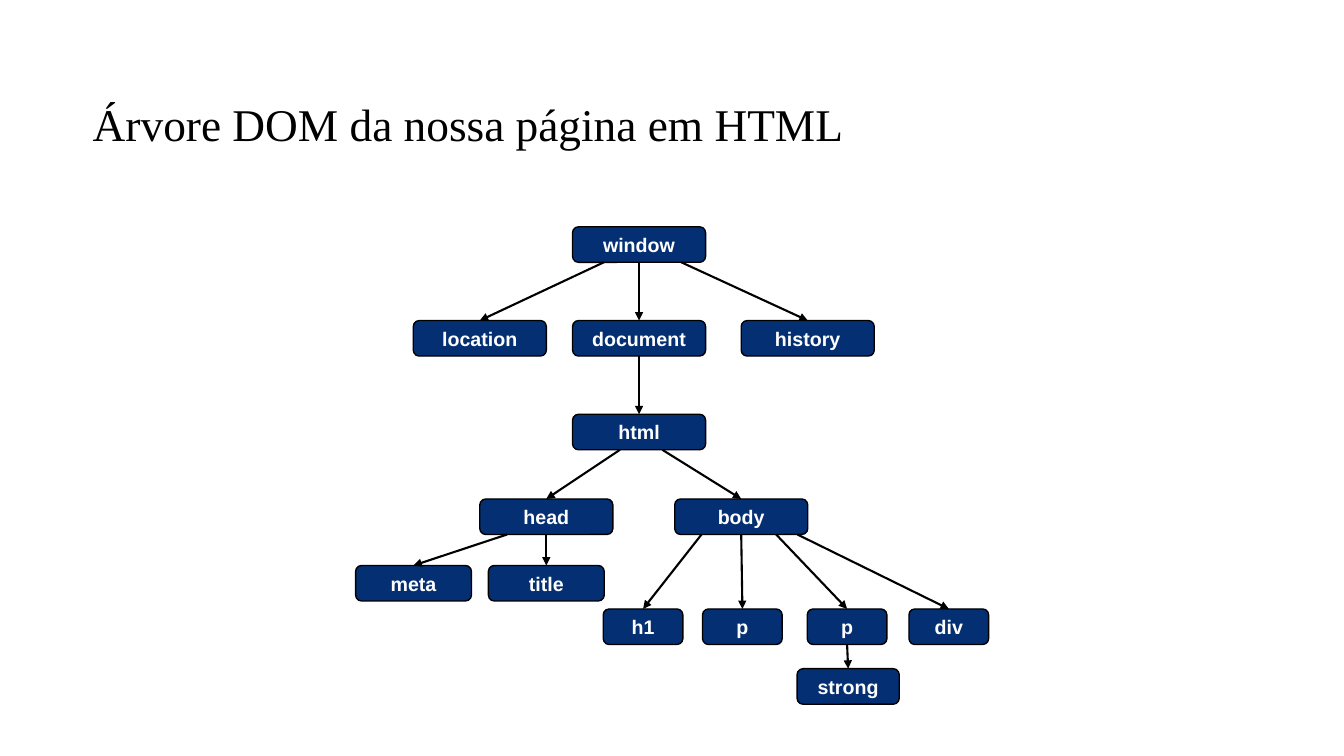
from lxml import etree
from pptx import Presentation
from pptx import util as u
from pptx.dml.color import RGBColor
from pptx.enum import shapes, text
from pptx.oxml.ns import qn

prs = Presentation()
prs.slide_width, prs.slide_height = u.Inches(13.333), u.Inches(7.5)
slide = prs.slides.add_slide(prs.slide_layouts[5])


def across(percent):
    return round(prs.slide_width * percent / 100)


def down(percent):
    return round(prs.slide_height * percent / 100)


BLACK, WHITE, NAVY = map(RGBColor.from_string, ("000000", "FFFFFF", "043073"))

heading = slide.shapes.title
heading.left, heading.top = across(6.15), down(12.4)
heading.width, heading.height = across(77.2), down(6.5)
frame = heading.text_frame
frame.text = "Árvore DOM da nossa página em HTML"
frame.auto_size = text.MSO_AUTO_SIZE.NONE
frame.vertical_anchor = text.MSO_ANCHOR.TOP
frame.margin_top = u.Inches(0.08)
line = frame.paragraphs[0]
line.alignment = text.PP_ALIGN.LEFT
line.line_spacing = 0.9
line.font.name, line.font.size = "Times New Roman", u.Pt(32.4)
line.font.color.rgb = BLACK

# Each level: top and node width, then nodes as
# (label, centre, parent's position in the level above, where the arrow leaves it).
# Centres and exits are percentages of the slide width, tops of its height.
NODE_HEIGHT = 4.7
HEAD, BODY = 0, 1
levels = [
    (30, 9.9, [("window", 47.55, None, None)]),
    (42.4, 9.9, [("location", 35.7, 0, 44.93), ("document", 47.55, 0, 47.55),
                 ("history", 60.1, 0, 50.7)]),
    (54.8, 9.9, [("html", 47.55, 1, 47.55)]),
    (66, 9.9, [("head", 40.65, 0, 46.13), ("body", 55.15, 0, 49.28)]),
    (74.8, 8.62, [("meta", 30.77, HEAD, 37.73), ("title", 40.65, HEAD, 40.65)]),
    (80.55, 5.93, [("h1", 47.85, BODY, 52.2), ("p", 55.24, BODY, 55.15),
                   ("p", 63.03, BODY, 57.75), ("div", 70.6, BODY, 59.33)]),
    (88.45, 7.6, [("strong", 63.11, 2, 63.03)]),
]
# Children of head and of body both hang from the level that holds head and body.
parent_level = [None, 0, 1, 2, 3, 3, 5]

drawn = []
for (top, width, nodes), above in zip(levels, parent_level):
    drawn.append([])
    for label, centre, parent, leaves_at in nodes:
        node = slide.shapes.add_shape(
            shapes.MSO_SHAPE.ROUNDED_RECTANGLE,
            across(centre - width / 2), down(top), across(width), down(NODE_HEIGHT))
        node.shadow.inherit = False
        node.fill.solid()
        node.fill.fore_color.rgb = NAVY
        node.line.color.rgb, node.line.width = BLACK, u.Pt(1)
        frame = node.text_frame
        frame.margin_top = frame.margin_bottom = 0
        frame.vertical_anchor = text.MSO_ANCHOR.MIDDLE
        frame.text = label
        name = frame.paragraphs[0]
        name.alignment = text.PP_ALIGN.CENTER
        name.font.name, name.font.size, name.font.bold = "Arial", u.Pt(14), True
        name.font.color.rgb = WHITE
        drawn[-1].append(node)
        if parent is None:
            continue

        origin = drawn[above][parent]
        arrow = slide.shapes.add_connector(
            shapes.MSO_CONNECTOR.STRAIGHT,
            across(leaves_at), origin.top + origin.height, across(centre), node.top)
        arrow.line.color.rgb, arrow.line.width = BLACK, u.Pt(1.5)
        etree.SubElement(arrow.line._get_or_add_ln(), qn("a:tailEnd"), type="triangle")
        etree.SubElement(arrow._element.spPr, qn("a:effectLst"))

prs.save("out.pptx")
